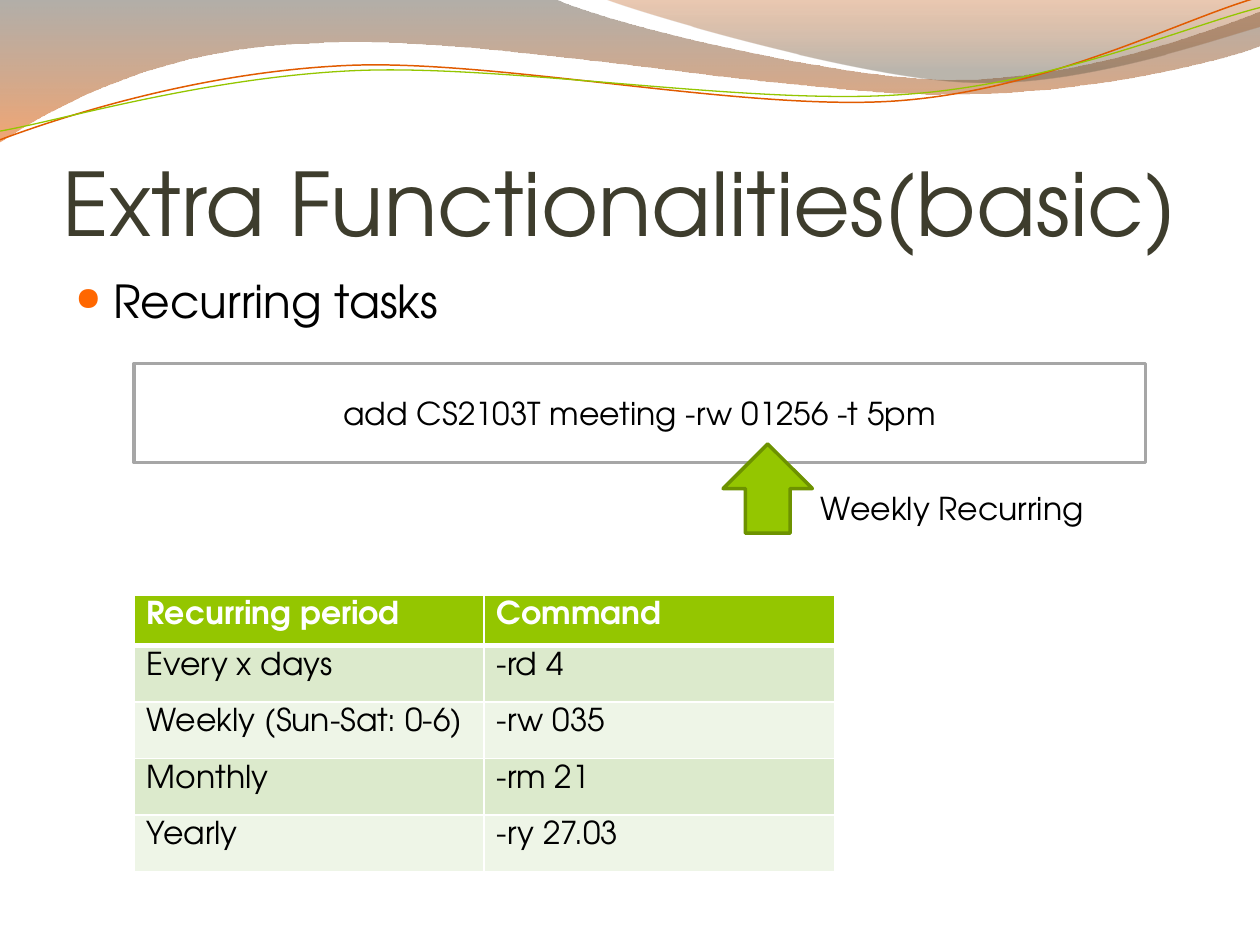
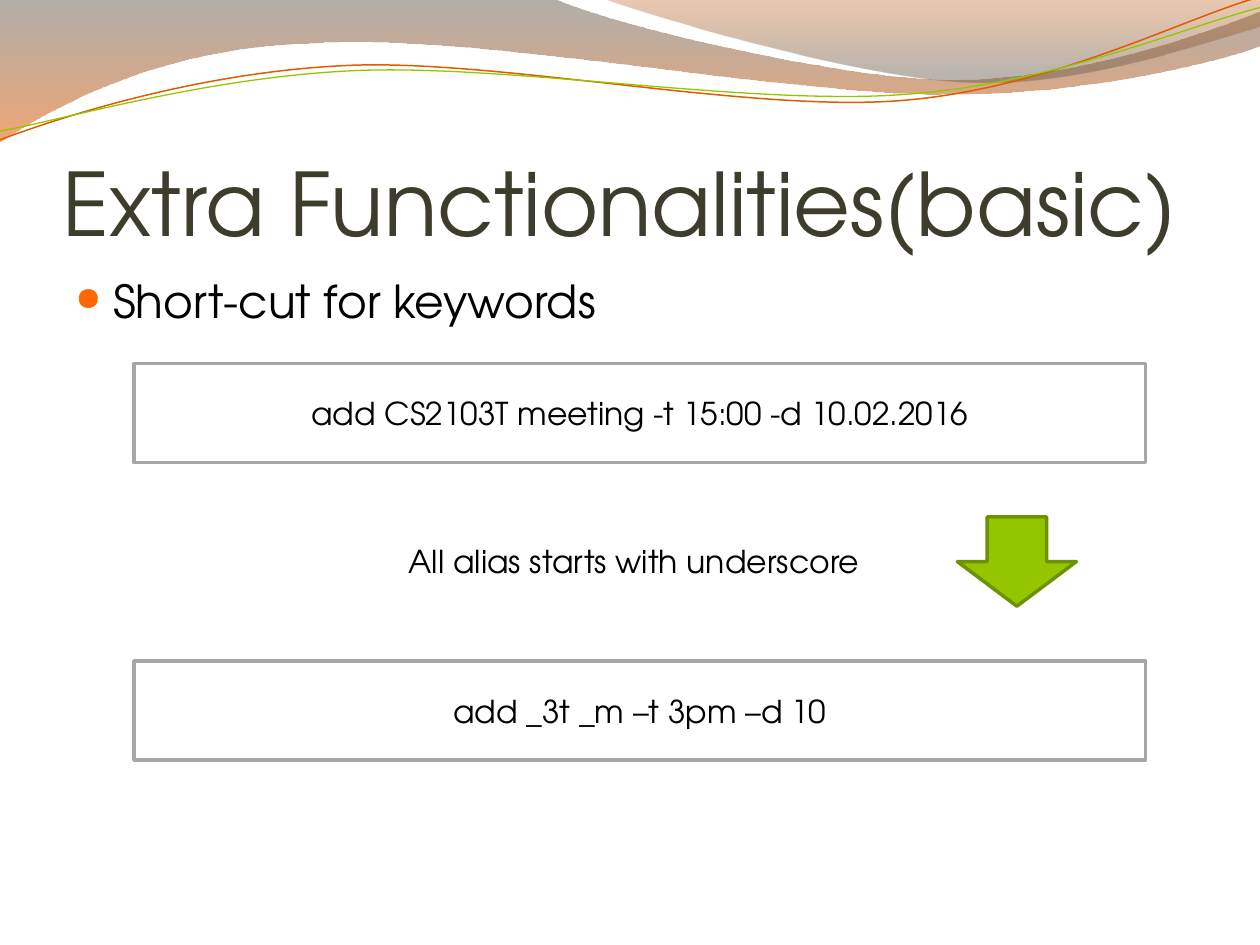
from dataclasses import dataclass

from lxml import etree
from pptx import Presentation
from pptx.dml.color import RGBColor
from pptx.enum.shapes import MSO_SHAPE
from pptx.enum.text import MSO_ANCHOR, MSO_AUTO_SIZE, PP_ALIGN
from pptx.oxml import parse_xml
from pptx.oxml.ns import nsdecls, qn
from pptx.shapes.autoshape import Shape
from pptx.slide import Slide
from pptx.table import _Cell
from pptx.text.text import TextFrame
from pptx.util import Pt

RECT = MSO_SHAPE.RECTANGLE
UP, DOWN = MSO_SHAPE.UP_ARROW, MSO_SHAPE.DOWN_ARROW
TOP, MIDDLE, BOTTOM = MSO_ANCHOR.TOP, MSO_ANCHOR.MIDDLE, MSO_ANCHOR.BOTTOM
LEFT, CENTER = PP_ALIGN.LEFT, PP_ALIGN.CENTER
GROW = MSO_AUTO_SIZE.SHAPE_TO_FIT_TEXT


@dataclass(frozen=True)
class Theme:
    font: str = "TeX Gyre Adventor"
    big: float = 50
    mid: float = 26
    small: float = 18
    ink: str = "000000"
    white: str = "FFFFFF"
    title: str = "3E3D2D"
    bullet: str = "FF6700"
    frame: str = "A6A6A6"
    green: str = "94C600"
    edge: str = "6D9200"
    orange: str = "E15B00"
    bands: tuple[str, str] = ("DCEACC", "EEF5E7")


THEME = Theme()


@dataclass(frozen=True)
class Stop:
    place: int
    color: str
    alpha: int


@dataclass(frozen=True)
class Wave:
    """Each step holds one point for a line, or three for a curve."""
    start: tuple[float, float]
    steps: tuple[tuple[float, ...], ...]
    stops: tuple[Stop, ...] = ()
    color: str = ""
    width: float = 0


@dataclass(frozen=True)
class Box:
    text: str
    top: float
    left: float = 76.6
    width: float = 578
    height: float = 56.6


@dataclass(frozen=True)
class Arrow:
    kind: MSO_SHAPE
    left: float
    top: float
    width: float
    height: float = 51


@dataclass(frozen=True)
class Label:
    text: str
    left: float
    top: float
    width: float
    height: float = 29


@dataclass(frozen=True)
class Grid:
    rows: tuple[tuple[str, str], ...]
    left: float
    top: float
    column: float
    head: float
    row: float


@dataclass(frozen=True)
class Page:
    point: str
    items: tuple[Box | Arrow | Label | Grid, ...]


WAVES = (
    Wave((0, 0), (
        (316.8, -0.7),
        (342.7, 12.2, 478.1, 45.4, 545.8, 45.4),
        (614.2, 45.4, 689.8, 18.7, 720, 6.5),
        (720.7, 25.9),
        (707.8, 31.7, 626.4, 54.7, 537.1, 54),
        (447.8, 54, 275, 20.2, 185, 24.5),
        (92.9, 25.9, 33.1, 59.8, -0.7, 81.4),
    ), stops=(Stop(0, "554D41", 45), Stop(100, "E75D00", 55))),
    Wave((344.9, -0.7), (
        (366.5, 7.9, 491, 44.6, 553.7, 46.8),
        (616.3, 49.7, 691.9, 23, 720, 15.1),
        (720, 0),
    ), stops=(Stop(0, "BD4C00", 30), Stop(80, "685D4B", 45))),
    Wave((0, 79.9), (
        (34.6, 67, 113.8, 41, 199.4, 37.4),
        (284.4, 33.8, 427, 64.1, 513.4, 57.6),
        (599.8, 51.1, 675.4, 10.8, 718.6, -1.4),
    ), color=THEME.orange, width=0.85),
    Wave((0, 74.9), (
        (33.8, 69.1, 118.1, 43.9, 203.8, 40.3),
        (290.2, 36.7, 429.8, 60.5, 516.2, 54),
        (601.9, 48.2, 677.5, 15.1, 720, 4.3),
    ), color=THEME.green, width=0.75),
)

PAGES = (
    Page("Recurring tasks", (
        Box("add CS2103T meeting -rw 01256 -t 5pm", 207.7),
        Arrow(UP, 413.2, 253.7, 51),
        Label("Weekly Recurring", 462, 276, 167),
        Grid((
            ("Recurring period", "Command"),
            ("Every x days", "-rd 4"),
            ("Weekly (Sun-Sat: 0-6)", "-rw 035"),
            ("Monthly", "-rm 21"),
            ("Yearly", "-ry 27.03"),
        ), left=76.6, top=340, column=200.1, head=28.8, row=32.3),
    )),
    Page("Short-cut for keywords", (
        Box("add CS2103T meeting -t 15:00 -d 10.02.2016", 207.7),
        Box("add _3t _m –t 3pm –d 10", 377.7),
        Label("All alias starts with underscore", 226.4, 306.1, 279),
        Arrow(DOWN, 547.1, 295.4, 68),
    )),
)


def rgb(color: str) -> RGBColor:
    return RGBColor.from_string(color)


def write(frame: TextFrame, text: str, *, size: float = THEME.small,
          color: str = THEME.ink, bold: bool = False, align: PP_ALIGN = LEFT,
          anchor: MSO_ANCHOR = TOP, wrap: bool = True, bullet: str = "") -> None:
    frame.word_wrap = wrap
    frame.vertical_anchor = anchor
    line = frame.paragraphs[0]
    line.text = text
    line.alignment = align
    if bullet:
        props = line._p.get_or_add_pPr()
        props.set("marL", str(Pt(21.6)))
        props.set("indent", str(-Pt(21.6)))
        hue = etree.SubElement(props, qn("a:buClr"))
        etree.SubElement(hue, qn("a:srgbClr"), val=THEME.bullet)
        etree.SubElement(props, qn("a:buSzPct"), val="72000")
        etree.SubElement(props, qn("a:buChar"), char=bullet)
    font = line.runs[0].font
    font.name, font.size, font.bold = THEME.font, Pt(size), bold
    font.color.rgb = rgb(color)


def bend(shape: Shape, wave: Wave) -> None:
    """Join the three segments of each curved step into one Bézier curve."""
    lines = iter(list(shape._element.iter(qn("a:lnTo"))))
    for step in wave.steps:
        parts = [next(lines) for _ in step[::2]]
        if len(parts) == 3:
            curve = etree.Element(qn("a:cubicBezTo"))
            parts[0].addprevious(curve)
            for part in parts:
                curve.append(part[0])
                part.getparent().remove(part)


def blend(shape: Shape, stops: tuple[Stop, ...]) -> None:
    """Fill a shape from top to bottom with see-through colours."""
    shape.fill.background()
    marks = "".join(
        f'<a:gs pos="{s.place * 1000}"><a:srgbClr val="{s.color}">'
        f'<a:alpha val="{s.alpha * 1000}"/></a:srgbClr></a:gs>' for s in stops)
    grad = parse_xml(f'<a:gradFill {nsdecls("a")} rotWithShape="1"><a:gsLst>{marks}'
                     '</a:gsLst><a:lin ang="5400000" scaled="0"/></a:gradFill>')
    props = shape._element.spPr
    props.replace(props.find(qn("a:noFill")), grad)


def paint(shape: Shape, fill: str, line: str, width: float = 2) -> None:
    shape.shadow.inherit = False
    shape.fill.solid()
    shape.fill.fore_color.rgb = rgb(fill)
    shape.line.color.rgb = rgb(line)
    shape.line.width = Pt(width)


def draw_wave(slide: Slide, wave: Wave) -> None:
    x, y = wave.start
    pen = slide.shapes.build_freeform(Pt(x), Pt(y))
    points = [(Pt(px), Pt(py)) for step in wave.steps
              for px, py in zip(step[::2], step[1::2])]
    pen.add_line_segments(points, close=bool(wave.stops))
    shape = pen.convert_to_shape()
    bend(shape, wave)
    shape.shadow.inherit = False
    if wave.stops:
        blend(shape, wave.stops)
        shape.line.fill.background()
    else:
        shape.fill.background()
        shape.line.color.rgb = rgb(wave.color)
        shape.line.width = Pt(wave.width)


def draw_box(slide: Slide, box: Box) -> None:
    shape = slide.shapes.add_shape(
        RECT, Pt(box.left), Pt(box.top), Pt(box.width), Pt(box.height))
    paint(shape, THEME.white, THEME.frame)
    write(shape.text_frame, box.text, align=CENTER, anchor=MIDDLE)


def draw_arrow(slide: Slide, arrow: Arrow) -> None:
    shape = slide.shapes.add_shape(arrow.kind, Pt(arrow.left), Pt(arrow.top),
                                   Pt(arrow.width), Pt(arrow.height))
    paint(shape, THEME.green, THEME.edge)


def add_text(slide: Slide, label: Label, **form) -> TextFrame:
    shape = slide.shapes.add_textbox(
        Pt(label.left), Pt(label.top), Pt(label.width), Pt(label.height))
    write(shape.text_frame, label.text, **form)
    return shape.text_frame


def draw_label(slide: Slide, label: Label) -> None:
    add_text(slide, label, wrap=False).auto_size = GROW


def edge(cell: _Cell, side: str, width: float) -> None:
    line = etree.SubElement(cell._tc.get_or_add_tcPr(), qn(f"a:ln{side}"),
                            w=str(Pt(width)))
    fill = etree.SubElement(line, qn("a:solidFill"))
    etree.SubElement(fill, qn("a:srgbClr"), val=THEME.white)


def draw_grid(slide: Slide, grid: Grid) -> None:
    count, wide = len(grid.rows), len(grid.rows[0])
    table = slide.shapes.add_table(
        count, wide, Pt(grid.left), Pt(grid.top), Pt(wide * grid.column),
        Pt(grid.head + (count - 1) * grid.row)).table
    for r, texts in enumerate(grid.rows):
        head = r == 0
        table.rows[r].height = Pt(grid.head if head else grid.row)
        for c, text in enumerate(texts):
            cell = table.cell(r, c)
            for side in "LRTB":
                thick = (head and side == "B") or (r == 1 and side == "T")
                edge(cell, side, 3 if thick else 1)
            cell.fill.solid()
            cell.fill.fore_color.rgb = rgb(
                THEME.green if head else THEME.bands[(r - 1) % 2])
            write(cell.text_frame, text, bold=head,
                  color=THEME.white if head else THEME.ink)


DRAW = {Box: draw_box, Arrow: draw_arrow, Label: draw_label, Grid: draw_grid}


def draw_page(slide: Slide, page: Page) -> None:
    for wave in WAVES:
        draw_wave(slide, wave)
    frame = add_text(slide, Label("Extra Functionalities(basic)", 36, 55.2, 648, 90),
                     size=THEME.big, color=THEME.title, anchor=BOTTOM)
    frame.margin_left = frame.margin_right = frame.margin_bottom = 0
    add_text(slide, Label(page.point, 36, 152.5, 648, 345.5),
             size=THEME.mid, bullet="●")
    for item in page.items:
        DRAW[type(item)](slide, item)


def main() -> None:
    deck = Presentation()
    deck.slide_width, deck.slide_height = Pt(720), Pt(540)
    blank = deck.slide_layouts[6]
    for page in PAGES:
        draw_page(deck.slides.add_slide(blank), page)
    deck.save("out.pptx")


if __name__ == "__main__":
    main()
